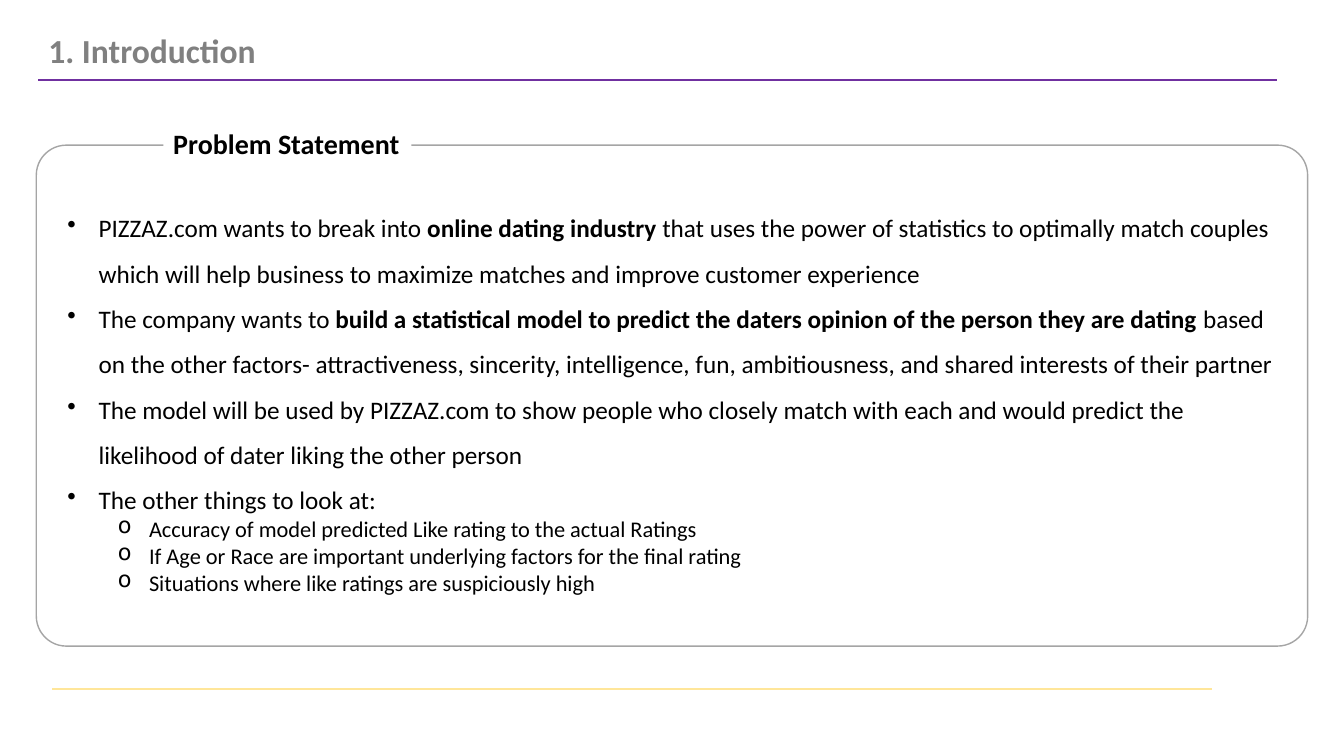
from dataclasses import dataclass

from lxml.etree import SubElement
from pptx import Presentation
from pptx.dml.color import RGBColor
from pptx.enum.shapes import MSO_CONNECTOR, MSO_SHAPE
from pptx.enum.text import MSO_ANCHOR, MSO_AUTO_SIZE, PP_ALIGN
from pptx.oxml.ns import qn
from pptx.shapes.autoshape import Shape
from pptx.slide import Slide
from pptx.text.text import TextFrame, _Paragraph
from pptx.util import Inches, Pt


@dataclass(frozen=True)
class Theme:
    font: str = "Calibri"
    ink: str = "000000"
    paper: str = "FFFFFF"
    title_grey: str = "808080"
    frame_grey: str = "A5A5A5"
    purple: str = "7030A0"
    yellow: str = "FFE699"
    title_size: int = 24
    heading_size: int = 20
    point_size: int = 18
    subpoint_size: int = 16


@dataclass(frozen=True)
class Box:
    left: float
    top: float
    width: float
    height: float

    def emu(self) -> tuple[int, ...]:
        return tuple(Inches(n) for n in (self.left, self.top, self.width, self.height))


@dataclass(frozen=True)
class Rule:
    left: float
    right: float
    y: float
    color: str


@dataclass(frozen=True)
class Level:
    depth: int
    bullet: str
    indent: float
    size: int
    line_spacing: float


@dataclass(frozen=True)
class Point:
    level: Level
    lead: str
    emphasis: str = ""
    rest: str = ""


THEME = Theme()
HANGING = 0.31
MAIN = Level(0, "•", 0.31, THEME.point_size, 1.5)
SUB = Level(1, "o", 0.81, THEME.subpoint_size, 1.0)

RULES = [
    Rule(0.38, 12.67, 0.79, THEME.purple),
    Rule(0.52, 12.02, 6.84, THEME.yellow),
]

POINTS = [
    Point(
        MAIN,
        "PIZZAZ.com wants to break into ",
        "online dating industry ",
        "that uses the power of statistics to optimally match couples which will "
        "help business to maximize matches and improve customer experience",
    ),
    Point(
        MAIN,
        "The company wants to ",
        "build a statistical model to predict the daters opinion of the person "
        "they are dating ",
        "based on the other factors- attractiveness, sincerity, intelligence, fun, "
        "ambitiousness, and shared interests of their partner",
    ),
    Point(
        MAIN,
        "The model will be used by PIZZAZ.com to show people who closely match with "
        "each and would predict the likelihood of dater liking the other person",
    ),
    Point(MAIN, "The other things to look at:"),
    Point(SUB, "Accuracy of model predicted Like rating to the actual Ratings"),
    Point(SUB, "If Age or Race are important underlying factors for the final rating"),
    Point(SUB, "Situations where like ratings are suspiciously high"),
]


def add_run(paragraph: _Paragraph, text: str, size: int, color: str, bold: bool) -> None:
    run = paragraph.add_run()
    run.text = text
    run.font.color.rgb = RGBColor.from_string(color)
    for name, value in {"name": THEME.font, "size": Pt(size), "bold": bold}.items():
        setattr(run.font, name, value)


def format_frame(frame: TextFrame, wrap: bool, anchor: MSO_ANCHOR) -> None:
    settings = {
        "word_wrap": wrap,
        "vertical_anchor": anchor,
        "auto_size": MSO_AUTO_SIZE.SHAPE_TO_FIT_TEXT,
    }
    for name, value in settings.items():
        setattr(frame, name, value)


def write_heading(shape: Shape, text: str, size: int, color: str) -> None:
    format_frame(shape.text_frame, False, MSO_ANCHOR.TOP)
    paragraph = shape.text_frame.paragraphs[0]
    paragraph.alignment = PP_ALIGN.LEFT
    add_run(paragraph, text, size, color, True)


def add_panel(slide: Slide, kind: MSO_SHAPE, box: Box) -> Shape:
    """Add a paper-coloured shape without outline or shadow."""
    panel = slide.shapes.add_shape(kind, *box.emu())
    panel.shadow.inherit = False
    panel.fill.solid()
    panel.fill.fore_color.rgb = RGBColor.from_string(THEME.paper)
    panel.line.fill.background()
    return panel


def add_rule(slide: Slide, rule: Rule) -> None:
    y = Inches(rule.y)
    line = slide.shapes.add_connector(
        MSO_CONNECTOR.STRAIGHT, Inches(rule.left), y, Inches(rule.right), y
    )
    line.line.color.rgb = RGBColor.from_string(rule.color)
    line.line.width = Pt(1.5)
    SubElement(line._element.spPr, qn("a:effectLst"))


def write_point(paragraph: _Paragraph, point: Point) -> None:
    level = point.level
    properties = paragraph._p.get_or_add_pPr()
    properties.set("marL", str(Inches(level.indent)))
    properties.set("indent", str(Inches(-HANGING)))
    SubElement(properties, qn("a:buChar")).set("char", level.bullet)
    paragraph.level = level.depth
    paragraph.line_spacing = level.line_spacing
    for text, bold in ((point.lead, False), (point.emphasis, True), (point.rest, False)):
        if text:
            add_run(paragraph, text, level.size, THEME.ink, bold)


def add_points(slide: Slide, box: Box, points: list[Point]) -> None:
    frame = slide.shapes.add_textbox(*box.emu()).text_frame
    format_frame(frame, True, MSO_ANCHOR.TOP)
    for index, point in enumerate(points):
        write_point(frame.add_paragraph() if index else frame.paragraphs[0], point)


def main() -> None:
    deck = Presentation()
    deck.slide_width, deck.slide_height = Inches(13.33), Inches(7.5)
    slide = deck.slides.add_slide(deck.slide_layouts[5])

    title = slide.shapes.title
    title.left, title.top, title.width, title.height = Box(0.38, 0.25, 2.28, 0.5).emu()
    write_heading(title, "1. Introduction", THEME.title_size, THEME.title_grey)

    frame = add_panel(slide, MSO_SHAPE.ROUNDED_RECTANGLE, Box(0.36, 1.44, 12.61, 4.97))
    frame.adjustments[0] = 0.06
    frame.line.color.rgb = RGBColor.from_string(THEME.frame_grey)
    frame.line.width = Pt(1)

    for rule in RULES:
        add_rule(slide, rule)
    add_points(slide, Box(0.57, 1.91, 12.2, 4.19), POINTS)

    heading = add_panel(slide, MSO_SHAPE.RECTANGLE, Box(1.62, 1.21, 2.46, 0.44))
    write_heading(heading, "Problem Statement", THEME.heading_size, THEME.ink)

    deck.save("out.pptx")


if __name__ == "__main__":
    main()
